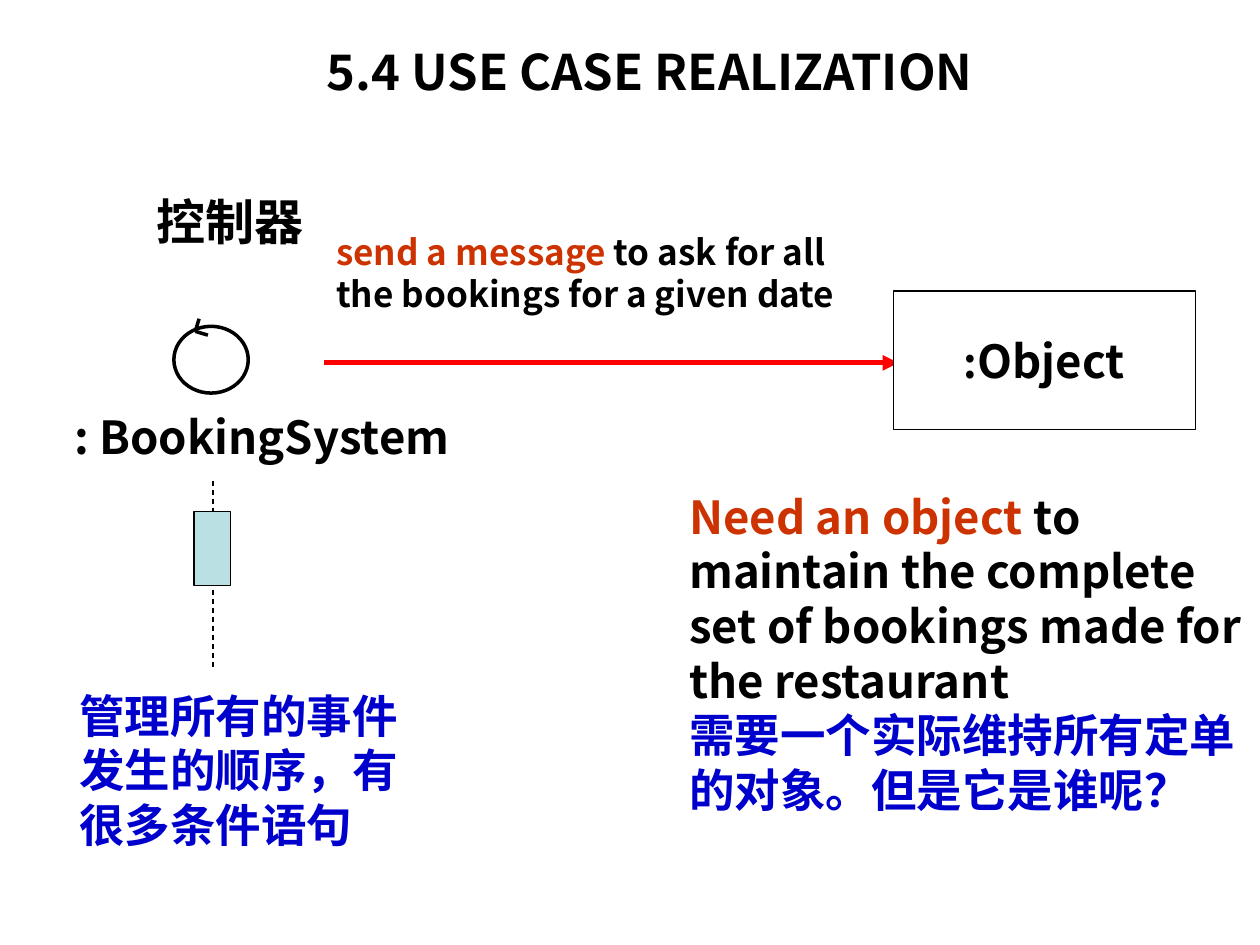
from lxml import etree
from pptx import Presentation
from pptx.dml.color import RGBColor
from pptx.enum.dml import MSO_LINE
from pptx.enum.shapes import MSO_CONNECTOR, MSO_SHAPE
from pptx.enum.text import MSO_ANCHOR, PP_ALIGN
from pptx.oxml.ns import qn
from pptx.util import Inches, Pt

LEFT, CENTER = PP_ALIGN.LEFT, PP_ALIGN.CENTER
TOP, MIDDLE = MSO_ANCHOR.TOP, MSO_ANCHOR.MIDDLE
STRAIGHT = MSO_CONNECTOR.STRAIGHT
RECTANGLE, OVAL = MSO_SHAPE.RECTANGLE, MSO_SHAPE.OVAL
DASH = MSO_LINE.DASH

BLACK = RGBColor(0x00, 0x00, 0x00)
WHITE = RGBColor(0xFF, 0xFF, 0xFF)
RED = RGBColor(0xFF, 0x00, 0x00)
RUST = RGBColor(0xCC, 0x33, 0x00)
BLUE = RGBColor(0x00, 0x00, 0xCC)
PALE_TEAL = RGBColor(0xBB, 0xE0, 0xE3)
FONT = "Noto Sans CJK SC"

# Content: paragraphs are lists of (text, size, colour) runs
TITLE = [[("5.4 USE CASE REALIZATION", 28, BLACK)]]
OBJECT_LABEL = [[(":", 24, BLACK), ("Object", 26, BLACK)]]
MARGINS, NO_MARGINS = (0.1, 0.05), (0, 0)

# (left, top, width, height), alignment, margins, wrap, paragraphs
LABELS = [
    ((0.27, 3.2, 3.62, 0.54), CENTER, MARGINS, True,
     [[(": BookingSystem", 26, BLACK)]]),
    ((0.9, 1.47, 1.85, 0.57), CENTER, MARGINS, True,
     [[("控制器", 28, BLACK)]]),
    ((5.47, 3.88, 4.41, 2.6), LEFT, NO_MARGINS, True,
     [[("Need an object", 26, RUST),
       (" to maintain the complete set of bookings made for the restaurant",
        26, BLACK)],
      [("需要一个实际维持所有定单的对象。但是它是谁呢？", 26, BLUE)]]),
    ((2.57, 1.78, 4.24, 1.1), LEFT, MARGINS, True,
     [[("send a message", 20, RUST), (" to ask for all", 20, BLACK)],
      [("the bookings for a given date", 20, BLACK)]]),
    ((0.53, 5.41, 2.73, 1.4), LEFT, MARGINS, False,
     [[(line, 26, BLUE)]
      for line in ("管理所有的事件", "发生的顺序，有", "很多条件语句")]),
]


def write(shape, paragraphs, align, anchor=TOP, margins=MARGINS, wrap=True):
    frame = shape.text_frame
    frame.word_wrap = wrap
    frame.vertical_anchor = anchor
    frame.margin_left = frame.margin_right = Inches(margins[0])
    frame.margin_top = frame.margin_bottom = Inches(margins[1])
    for index, runs in enumerate(paragraphs):
        para = frame.add_paragraph() if index else frame.paragraphs[0]
        para.alignment = align
        for text, size, color in runs:
            span = para.add_run()
            span.text = text
            span.font.size = Pt(size)
            span.font.bold = True
            span.font.color.rgb = color
            span.font.name = FONT
            # Chinese characters take their font from a:ea
            latin = span.font._element.find(qn("a:latin"))
            east_asian = etree.Element(qn("a:ea"), typeface=FONT)
            latin.addnext(east_asian)


def add_figure(parent, kind, area, fill, weight):
    shape = parent.add_shape(kind, *map(Inches, area))
    shape.shadow.inherit = False
    shape.fill.solid()
    shape.fill.fore_color.rgb = fill
    shape.line.color.rgb = BLACK
    shape.line.width = Pt(weight)
    return shape


def add_line(parent, start, end, color, weight):
    line = parent.add_connector(STRAIGHT, *map(Inches, start + end))
    line.line.color.rgb = color
    line.line.width = Pt(weight)
    etree.SubElement(line._element.spPr, qn("a:effectLst"))
    return line


def main():
    deck = Presentation()
    deck.slide_width, deck.slide_height = Inches(10), Inches(7.5)
    page = deck.slides.add_slide(deck.slide_layouts[5])
    shapes = page.shapes

    # Title
    title = shapes.title
    title.left, title.top, title.width, title.height = map(
        Inches, (1.84, 0.22, 6.63, 0.69))
    write(title, TITLE, CENTER, MIDDLE)

    # Controller symbol: circle with an open arrowhead
    controller = shapes.add_group_shape().shapes
    add_figure(controller, OVAL, (1.38, 2.59, 0.59, 0.53), WHITE, 2)
    tip = (1.55, 2.63)
    for barb in ((1.58, 2.53), (1.65, 2.66)):
        add_line(controller, barb, tip, BLACK, 2)

    # Lifeline and activation bar
    lifeline = add_line(shapes, (1.69, 3.82), (1.69, 5.32), BLACK, 0.75)
    lifeline.line.dash_style = DASH
    add_figure(shapes, RECTANGLE, (1.54, 4.06, 0.29, 0.59), PALE_TEAL, 0.75)

    # Message arrow, ending under the edge of the object box
    message = add_line(shapes, (2.57, 2.88), (7.13, 2.88), RED, 3)
    etree.SubElement(message.line._get_or_add_ln(), qn("a:tailEnd"),
                     type="triangle")
    target = add_figure(shapes, RECTANGLE, (7.09, 2.31, 2.4, 1.1), WHITE, 0.75)
    write(target, OBJECT_LABEL, CENTER, MIDDLE, wrap=False)

    # Labels and notes
    for area, align, margins, wrap, paragraphs in LABELS:
        box = shapes.add_textbox(*map(Inches, area))
        write(box, paragraphs, align, margins=margins, wrap=wrap)

    deck.save("out.pptx")


if __name__ == "__main__":
    main()
